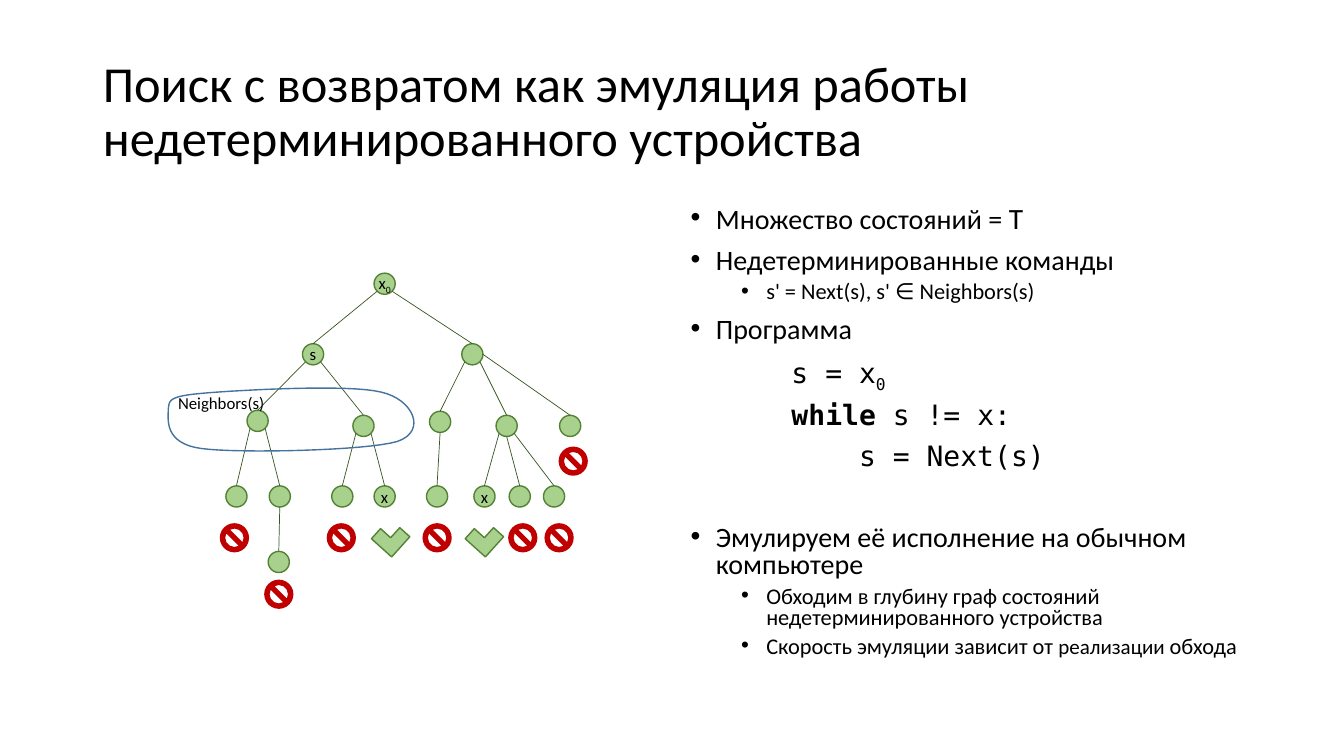
"""Build the slide on backtracking as emulation of a nondeterministic device."""
from lxml import etree
from pptx import Presentation
from pptx import util as u
from pptx.dml.color import RGBColor
from pptx.enum import shapes, text
from pptx.oxml import ns

PX = 9144
HUE = {"leaf": "A9D18E", "rim": "548235", "edge": "385723",
       "stop": "C00000", "loop": "43739E", "ink": "000000"}
SANS, MONO = "Calibri", "DejaVu Sans Mono"
TITLE = "Поиск с возвратом как эмуляция работы недетерминированного устройства"
SUB = {"base": -25000}

BODY = [
    ("item", 0, [("Множество состояний = ", {}), ("T", {"size": 21})]),
    ("item", 10, [("Недетерминированные команды", {})]),
    ("sub", 5, [("s' = Next(s), s' ∈ Neighbors(s)", {})]),
    ("item", 10, [("Программа", {})]),
    ("code", 10, [("s = x", {}), ("0", SUB)]),
    ("code", 10, [("while", {"bold": True}), (" s != x:", {})]),
    ("code", 10, [("    s = Next(s)", {})]),
    ("item", 39, [("Эмулируем её исполнение на обычном компьютере", {})]),
    ("sub", 5, [("Обходим в глубину граф состояний недетерминированного устройства", {})]),
    ("sub", 5, [("Скорость эмуляции зависит от ", {}), ("реализации ", {"size": 15}),
                ("обхода", {})]),
]
KIND = {"item": (0, 25, -25, 20, SANS), "sub": (1, 75, -25, 16, SANS),
        "code": (0, 100, 0, 20, MONO)}

DOT = 21
SITE = {"left": (3, 18), "down": (10.5, 21), "right": (18, 18), "side": (21, 10.5)}
NODES = {
    "root": (371, 271, [("x", {}), ("0", SUB)], None, None),
    "s": (300, 341, [("s", {})], "root", "left"),
    "t": (458, 341, [], "root", "right"),
    "s1": (245, 407, [], "s", "left"),
    "s2": (350, 412, [], "s", "right"),
    "t1": (426, 408, [], "t", "left"),
    "t2": (492, 412, [], "t", "right"),
    "t3": (555, 412, [], "t", "side"),
    "s11": (224, 482, [], "s1", "left"),
    "s12": (267, 482, [], "s1", "right"),
    "s21": (329, 482, [], "s2", "left"),
    "s22": (371, 482, [("x", {})], "s2", "right"),
    "t11": (423, 482, [], "t1", "down"),
    "t21": (470, 482, [("x", {})], "t2", "left"),
    "t22": (505, 482, [], "t2", "down"),
    "t23": (539, 482, [], "t2", "right"),
    "s121": (266, 547, [], "s12", "down"),
}
STOPS = [(218, 519), (324, 519), (419, 519), (504, 519), (540, 519),
         (262, 575), (554, 443)]
TICKS = [(374, 520), (467, 520)]
LOOP = [(203, 390),
        (238, 387), (346, 381), (378, 389), (410, 396), (424, 428), (394, 438),
        (364, 447), (238, 450), (200, 445), (162, 440), (167, 415), (167, 406),
        (168, 397), (167, 393), (203, 390)]


def px(*vals):
    return [u.Emu(round(v * PX)) for v in vals]


def rgb(key):
    return RGBColor.from_string(HUE[key])


def put(para, words, size=12, face=SANS, bold=False, base=0):
    if isinstance(words, list):
        for part, extra in words:
            put(para, part, **{"size": size, "face": face, **extra})
        return
    run = para.add_run()
    run.text = words
    run.font.size, run.font.name, run.font.bold = u.Pt(size), face, bold
    run.font.color.rgb = rgb("ink")
    if base:
        run.font._element.set("baseline", str(base))


def place(shape, x, y, w, h):
    shape.left, shape.top, shape.width, shape.height = px(x, y, w, h)
    shape.text_frame.auto_size = text.MSO_AUTO_SIZE.NONE
    return shape.text_frame


def fill_body(frame):
    for i, (kind, gap, words) in enumerate(BODY):
        level, margin, hang, size, face = KIND[kind]
        para = frame.add_paragraph() if i else frame.paragraphs[0]
        para.level = level
        props = para._p.get_or_add_pPr()
        props.set("marL", str(margin * PX))
        props.set("indent", str(hang * PX))
        if kind == "code":
            etree.SubElement(props, ns.qn("a:buNone"))
        else:
            etree.SubElement(props, ns.qn("a:buFont"), typeface="Arial")
            etree.SubElement(props, ns.qn("a:buChar"), char="•")
        para.line_spacing, para.space_before = 0.8, u.Pt(gap)
        put(para, words, size, face)


def style(shape, fill, line):
    shape.shadow.inherit = False
    if fill:
        shape.fill.solid()
        shape.fill.fore_color.rgb = rgb(fill)
    else:
        shape.fill.background()
    if line:
        shape.line.color.rgb = rgb(line)
        shape.line.width = u.Pt(1)
    else:
        shape.line.fill.background()
    return shape


def mark(tree, kind, x, y, size, fill="leaf", line="rim"):
    return style(tree.add_shape(kind, *px(x, y, size, size)), fill, line)


def draw_tree(tree):
    dots = {}
    for name, (x, y, words, _, _) in NODES.items():
        dot = dots[name] = mark(tree, shapes.MSO_SHAPE.OVAL, x, y, DOT)
        if words:
            frame = dot.text_frame
            frame.margin_left = frame.margin_right = 0
            frame.margin_top = frame.margin_bottom = 0
            frame.word_wrap = False
            frame.vertical_anchor = text.MSO_ANCHOR.MIDDLE
            frame.paragraphs[0].alignment = text.PP_ALIGN.CENTER
            put(frame.paragraphs[0], words)
    for name, (x, y, _, up, site) in NODES.items():
        if up:
            dx, dy = SITE[site]
            ends = px(x + DOT / 2, y, NODES[up][0] + dx, NODES[up][1] + dy)
            edge = tree.add_connector(shapes.MSO_CONNECTOR.STRAIGHT, *ends)
            edge.begin_connect(dots[name], 0)
            edge.line.color.rgb = rgb("edge")
            edge.line.width = u.Pt(0.5)
            etree.SubElement(edge._element.spPr, ns.qn("a:effectLst"))
    for x, y in STOPS:
        mark(tree, shapes.MSO_SHAPE.NO_SYMBOL, x, y, 29, "stop", None)
    for x, y in TICKS:
        mark(tree, shapes.MSO_SHAPE.CORNER, x, y, 27).rotation = 312.1


def draw_loop(tree, steps=16):
    pts = []
    for i in range(0, len(LOOP) - 1, 3):
        a, b, c, d = LOOP[i:i + 4]
        for k in range(1, steps + 1):
            t = k / steps
            pts.append(px(*((1 - t) ** 3 * p + 3 * t * (1 - t) ** 2 * q
                            + 3 * t * t * (1 - t) * r + t ** 3 * s
                            for p, q, r, s in zip(a, b, c, d))))
    pen = tree.build_freeform(*px(*LOOP[0]))
    pen.add_line_segments(pts, close=True)
    frame = style(pen.convert_to_shape(), None, "loop").text_frame
    frame.vertical_anchor = text.MSO_ANCHOR.TOP
    frame.paragraphs[0].alignment = text.PP_ALIGN.LEFT
    put(frame.paragraphs[0], "Neighbors(s)")


def main():
    deck = Presentation()
    deck.slide_width, deck.slide_height = px(1333, 750)
    slide = deck.slides.add_slide(deck.slide_layouts[1])
    head = place(slide.shapes.title, 92, 40, 1150, 145)
    head.vertical_anchor = text.MSO_ANCHOR.MIDDLE
    para = head.paragraphs[0]
    para.alignment, para.line_spacing = text.PP_ALIGN.LEFT, 0.9
    put(para, TITLE, 36)
    fill_body(place(slide.placeholders[1], 675, 200, 567, 476))
    tree = slide.shapes.add_group_shape().shapes
    draw_tree(tree)
    draw_loop(tree)
    deck.save("out.pptx")


if __name__ == "__main__":
    main()
